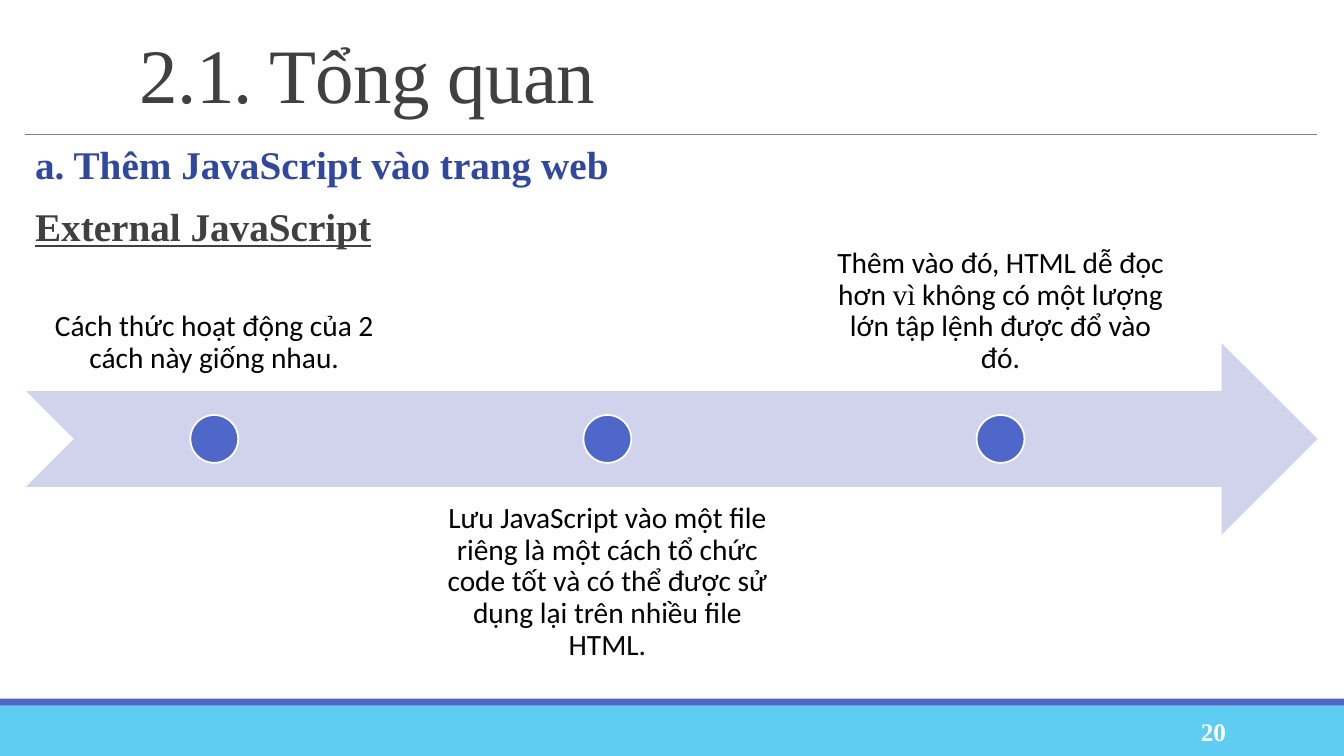
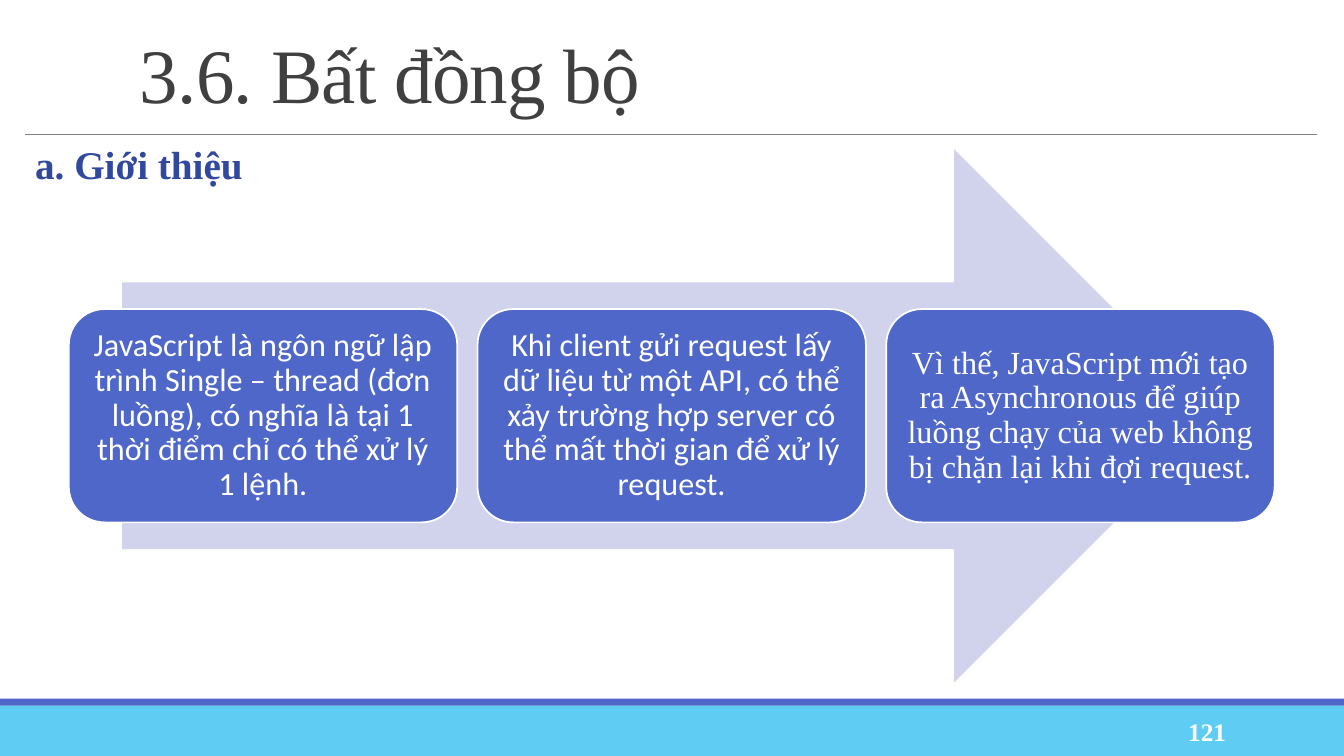
import dataclasses
import typing

import lxml.etree
import pptx
import pptx.dml.color
import pptx.enum.shapes
import pptx.enum.text
import pptx.oxml.ns
import pptx.util

SHAPE = pptx.enum.shapes.MSO_SHAPE
ALIGN = pptx.enum.text.PP_ALIGN
ANCHOR = pptx.enum.text.MSO_ANCHOR

WIDE = pptx.util.Inches(13.333)
HIGH = pptx.util.Inches(7.5)
SERIF, SANS = "Times New Roman", "Calibri"
BLUE, SKY, PALE, NAVY = "4E67C8", "5ECCF3", "D0D3EB", "31489F"
WHITE, BLACK, DARK, GREY = "FFFFFF", "000000", "404040", "808080"


@dataclasses.dataclass(frozen=True)
class Box:
    """Place and size, in percent of the slide's width and height."""
    x: float
    y: float
    w: float
    h: float

    def frame(self) -> tuple[int, int, int, int]:
        return (int(WIDE * self.x / 100), int(HIGH * self.y / 100),
                int(WIDE * self.w / 100), int(HIGH * self.h / 100))


@dataclasses.dataclass(frozen=True)
class Style:
    size: float
    font: str
    color: str
    bold: bool = False
    under: bool = False
    align: typing.Any = ALIGN.LEFT
    lead: float = 1.0
    space: float = 0  # between paragraphs, in points


@dataclasses.dataclass(frozen=True)
class Run:
    text: str
    font: str = ""  # empty keeps the paragraph's font


@dataclasses.dataclass(frozen=True)
class Para:
    runs: tuple[Run, ...]
    style: Style


TITLE = Style(55, SERIF, DARK, lead=0.85)
HEAD = Style(28, SERIF, NAVY, bold=True, align=ALIGN.JUSTIFY, lead=0.9, space=14)
TOPIC = dataclasses.replace(HEAD, color=DARK, under=True)
PAGE = Style(18, SERIF, WHITE, bold=True, align=ALIGN.RIGHT)
LABEL = Style(21, SANS, BLACK, align=ALIGN.CENTER, lead=0.9)
CARD = dataclasses.replace(LABEL, size=23, color=WHITE)


def line(text: str, style: Style) -> Para:
    return Para((Run(text),), style)


def color(code: str) -> pptx.dml.color.RGBColor:
    return pptx.dml.color.RGBColor.from_string(code)


def write(shape: typing.Any, paras: typing.Sequence[Para],
          anchor: typing.Any = ANCHOR.TOP, side: float = 0.1,
          edge: float = 0.05) -> None:
    """Fill a shape with text; side and edge are insets in inches."""
    frame = shape.text_frame
    frame.word_wrap = True
    frame.vertical_anchor = anchor
    frame.margin_left = frame.margin_right = pptx.util.Inches(side)
    frame.margin_top = frame.margin_bottom = pptx.util.Inches(edge)
    for i, para in enumerate(paras):
        style = para.style
        part = frame.add_paragraph() if i else frame.paragraphs[0]
        part.alignment = style.align
        part.line_spacing = style.lead
        if i:
            part.space_before = pptx.util.Pt(style.space)
        font = part.font
        font.name, font.size = style.font, pptx.util.Pt(style.size)
        font.bold, font.underline = style.bold, style.under
        font.color.rgb = color(style.color)
        for run in para.runs:
            piece = part.add_run()
            piece.text = run.text
            if run.font:
                piece.font.name = run.font


def label(slide: typing.Any, box: Box, paras: typing.Sequence[Para],
          **place: typing.Any) -> typing.Any:
    shape = slide.shapes.add_textbox(*box.frame())
    write(shape, paras, **place)
    return shape


def draw(slide: typing.Any, kind: typing.Any, box: Box, fill: str,
         edge: str = "") -> typing.Any:
    shape = slide.shapes.add_shape(kind, *box.frame())
    shape.shadow.inherit = False
    shape.fill.solid()
    shape.fill.fore_color.rgb = color(fill)
    if edge:
        shape.line.color.rgb = color(edge)
        shape.line.width = pptx.util.Pt(1.25)
    else:
        shape.line.fill.background()
    return shape


def rule(slide: typing.Any, left: float, right: float, y: float) -> None:
    x, top, wide, _ = Box(left, y, right - left, 0).frame()
    link = slide.shapes.add_connector(
        pptx.enum.shapes.MSO_CONNECTOR.STRAIGHT, x, top, x + wide, top)
    link.line.color.rgb = color(GREY)
    link.line.width = pptx.util.Pt(0.5)
    lxml.etree.SubElement(link._element.spPr, pptx.oxml.ns.qn("a:effectLst"))


def base(deck: typing.Any, title: str, heads: typing.Sequence[Para],
         page: int) -> typing.Any:
    """Add a slide with its bands, title, headings and page number."""
    slide = deck.slides.add_slide(deck.slide_layouts[6])
    draw(slide, SHAPE.RECTANGLE, Box(0, 93.33, 100, 6.67), SKY)
    draw(slide, SHAPE.RECTANGLE, Box(0, 92.4, 100, 0.93), BLUE)
    rule(slide, 1.88, 98.03, 17.75)
    name = label(slide, Box(9.68, 4.13, 88.35, 12.8), [line(title, TITLE)],
                 anchor=ANCHOR.MIDDLE)
    # Tighter letter spacing, in hundredths of a point
    name.text_frame.paragraphs[0].runs[0].font._element.set("spc", "-50")
    label(slide, Box(1.88, 18.67, 96.15, 71.2), heads)
    label(slide, Box(81.23, 94.13, 10.73, 5.33), [line(str(page), PAGE)],
          anchor=ANCHOR.MIDDLE)
    return slide


def steps(slide: typing.Any, notes: typing.Sequence[Para]) -> None:
    """Timeline arrow with labels in turn above and below it."""
    top, row = 26.4, 25.33
    mid = top + 1.25 * row
    left, pitch, wide = 2.03, 29.25, 27.83
    dot_w, dot_h = 3.56, 6.33
    draw(slide, SHAPE.NOTCHED_RIGHT_ARROW,
         Box(1.95, mid - row / 2, 96.08, row), PALE)
    for i, note in enumerate(notes):
        x, low = left + i * pitch, i % 2 == 1
        label(slide, Box(x, top + 1.5 * row * low, wide, row), [note],
              anchor=ANCHOR.TOP if low else ANCHOR.BOTTOM, side=0.16, edge=0.16)
        draw(slide, SHAPE.OVAL, Box(x + (wide - dot_w) / 2, mid - dot_h / 2,
                                    dot_w, dot_h), BLUE, WHITE)


def cards(slide: typing.Any, notes: typing.Sequence[Para]) -> None:
    """Large arrow with a row of cards across its middle."""
    mid, tall = 55, 70.53
    left, pitch, wide, high = 5.12, 30.41, 28.9, 0.4 * tall
    draw(slide, SHAPE.RIGHT_ARROW, Box(9.08, mid - tall / 2, 81.75, tall), PALE)
    for i, note in enumerate(notes):
        card = draw(slide, SHAPE.ROUNDED_RECTANGLE,
                    Box(left + i * pitch, mid - high / 2, wide, high), BLUE, WHITE)
        write(card, [note], anchor=ANCHOR.MIDDLE, side=0.1, edge=0.1)


def main() -> None:
    deck = pptx.Presentation()
    deck.slide_width, deck.slide_height = WIDE, HIGH

    # External scripts
    slide = base(deck, "2.1. Tổng quan",
                 [line("a. Thêm JavaScript vào trang web", HEAD),
                  line("External JavaScript", TOPIC)], 20)
    steps(slide, [
        line("Cách thức hoạt động của 2 cách này giống nhau.", LABEL),
        line("Lưu JavaScript vào một file riêng là một cách tổ chức code tốt "
             "và có thể được sử dụng lại trên nhiều file HTML.", LABEL),
        Para((Run("Thêm vào đó, HTML dễ đọc hơn "), Run("vì", SERIF),
              Run(" không có một lượng lớn tập lệnh được đổ vào đó.")), LABEL),
    ])

    # Asynchronous code
    slide = base(deck, "3.6. Bất đồng bộ", [line("a. Giới thiệu", HEAD)], 121)
    cards(slide, [
        line("JavaScript là ngôn ngữ lập trình Single – thread (đơn luồng), "
             "có nghĩa là tại 1 thời điểm chỉ có thể xử lý 1 lệnh.", CARD),
        line("Khi client gửi request lấy dữ liệu từ một API, có thể xảy trường "
             "hợp server có thể mất thời gian để xử lý request.", CARD),
        line("Vì thế, JavaScript mới tạo ra Asynchronous để giúp luồng chạy của "
             "web không bị chặn lại khi đợi request.",
             dataclasses.replace(CARD, font=SERIF)),
    ])

    deck.save("out.pptx")


if __name__ == "__main__":
    main()
